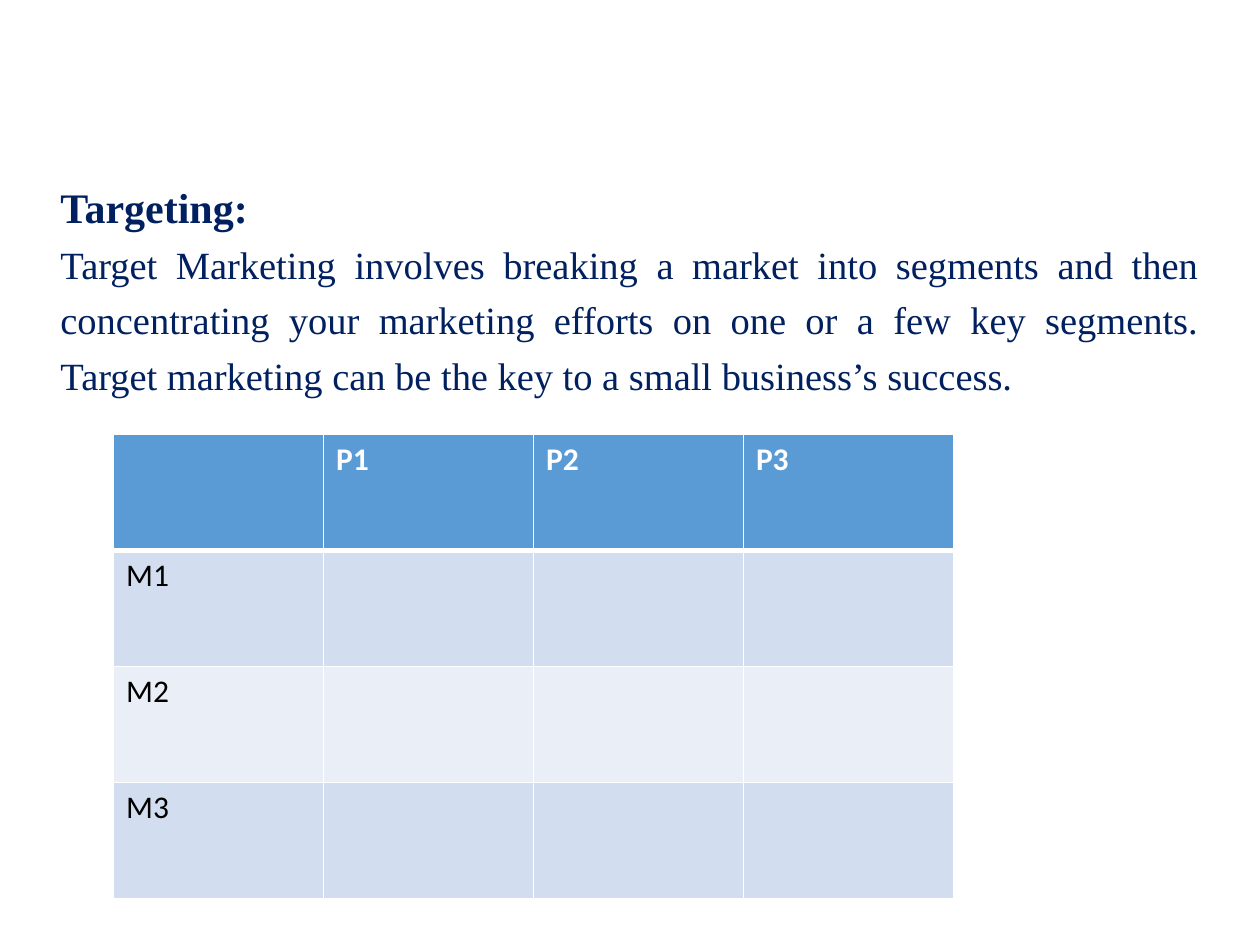
from typing import NamedTuple

from lxml import etree
from pptx import Presentation
from pptx.dml.color import RGBColor
from pptx.enum import text
from pptx.oxml import ns
from pptx.util import Cm, Pt

NAVY = RGBColor(0x00, 0x20, 0x60)
WHITE = RGBColor(0xFF, 0xFF, 0xFF)
BLACK = RGBColor(0x00, 0x00, 0x00)
HEADER_BLUE = RGBColor(0x5B, 0x9B, 0xD5)
BAND_DARK = RGBColor(0xD2, 0xDE, 0xEF)
BAND_LIGHT = RGBColor(0xEA, 0xEF, 0xF7)


class Passage(NamedTuple):
    wording: str
    size: int
    bold: bool


PASSAGES = [
    Passage("Targeting:", 24, True),
    Passage(
        "Target Marketing involves breaking a market into segments and then "
        "concentrating your marketing efforts on one or a few key segments. "
        "Target marketing can be the key to a small business’s success.",
        22, False),
]
PRODUCTS = ["P1", "P2", "P3"]
MARKETS = ["M1", "M2", "M3"]


def add_passages(slide, passages: list[Passage]) -> None:
    body = slide.shapes.add_textbox(Cm(0.97), Cm(3.33), Cm(23.44), Cm(15.04))
    frame = body.text_frame
    frame.word_wrap = True
    for index, passage in enumerate(passages):
        paragraph = frame.paragraphs[0] if index == 0 else frame.add_paragraph()
        paragraph.text = passage.wording
        paragraph.alignment = text.PP_ALIGN.JUSTIFY
        paragraph.line_spacing = 1.2
        paragraph.font.name = "Times New Roman"
        paragraph.font.size = Pt(passage.size)
        paragraph.font.bold = passage.bold
        paragraph.font.color.rgb = NAVY


def set_borders(cell, top: int, bottom: int) -> None:
    """Draw white cell borders; widths in points, the sides always 1."""
    properties = cell._tc.get_or_add_tcPr()
    widths = {"a:lnL": 1, "a:lnR": 1, "a:lnT": top, "a:lnB": bottom}
    for position, (tag, width) in enumerate(widths.items()):
        line = etree.Element(ns.qn(tag), w=str(Pt(width)))
        fill = etree.SubElement(line, ns.qn("a:solidFill"))
        etree.SubElement(fill, ns.qn("a:srgbClr"), val=str(WHITE))
        properties.insert(position, line)


def add_market_grid(slide, products: list[str], markets: list[str]) -> None:
    labels = [["", *products]] + [[market] + [""] * len(products) for market in markets]
    grid = slide.shapes.add_table(
        len(labels), len(labels[0]), Cm(2.29), Cm(8.76), Cm(16.93), Cm(9.35)).table
    for row, row_labels in enumerate(labels):
        header = row == 0
        band = HEADER_BLUE if header else BAND_DARK if row % 2 else BAND_LIGHT
        for column, label in enumerate(row_labels):
            cell = grid.cell(row, column)
            cell.fill.solid()
            cell.fill.fore_color.rgb = band
            set_borders(cell, top=3 if row == 1 else 1, bottom=3 if header else 1)
            cell.text = label
            font = cell.text_frame.paragraphs[0].font
            font.name = "Calibri"
            font.size = Pt(18)
            font.bold = header
            font.color.rgb = WHITE if header else BLACK


def main() -> None:
    deck = Presentation()
    deck.slide_width, deck.slide_height = Cm(25.4), Cm(19.05)
    slide = deck.slides.add_slide(deck.slide_layouts[6])
    add_passages(slide, PASSAGES)
    add_market_grid(slide, PRODUCTS, MARKETS)
    deck.save("out.pptx")


if __name__ == "__main__":
    main()
